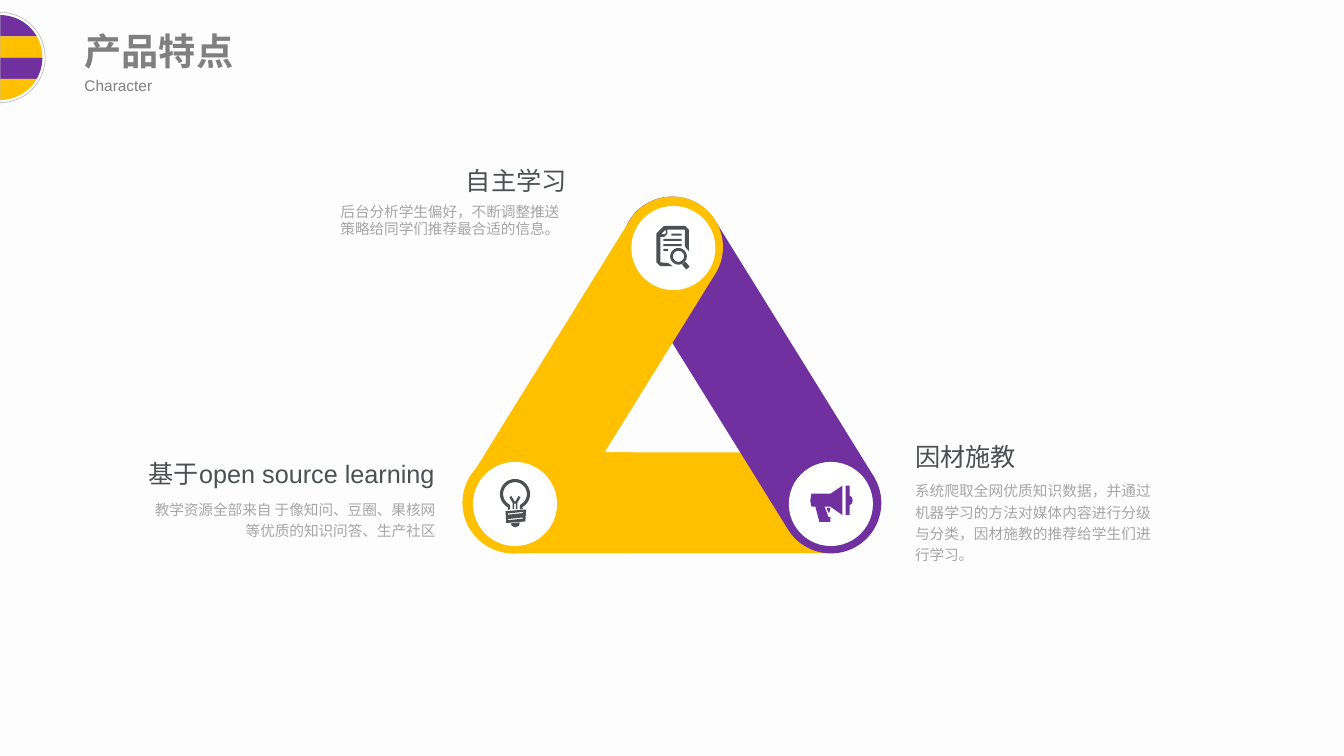
from math import cos, radians, sin

from pptx import Presentation
from pptx.dml.color import RGBColor
from pptx.enum.shapes import MSO_SHAPE
from pptx.enum.text import MSO_ANCHOR, PP_ALIGN
from pptx.util import Cm, Pt

BAR = MSO_SHAPE.ROUNDED_RECTANGLE
DISC = MSO_SHAPE.OVAL
LEFT, RIGHT, JUSTIFY = PP_ALIGN.LEFT, PP_ALIGN.RIGHT, PP_ALIGN.JUSTIFY
TOP, MIDDLE = MSO_ANCHOR.TOP, MSO_ANCHOR.MIDDLE

YELLOW, PURPLE, WHITE = "FFC000", "7030A0", "FFFFFF"
DARK, PALE, GREY, RULE = "4B5050", "A6A6A6", "808080", "BFBFBF"


def rgb(value):
    return RGBColor.from_string(value)


def arc(cx, cy, radius, start, end, steps=24):
    """Points along an arc; angles in degrees, clockwise from the right."""
    angles = [radians(start + (end - start) * i / steps) for i in range(steps + 1)]
    return [(cx + radius * cos(a), cy + radius * sin(a)) for a in angles]


def box(x, y, w, h):
    return [(x, y), (x + w, y), (x + w, y + h), (x, y + h)]


class Deck:
    font = "Arial"

    def __init__(self, width, height, background):
        self.prs = Presentation()
        self.prs.slide_width, self.prs.slide_height = Cm(width), Cm(height)
        self.s = self.prs.slides.add_slide(self.prs.slide_layouts[6])
        fill = self.s.background.fill
        fill.solid()
        fill.fore_color.rgb = rgb(background)

    def paint(self, sp, fill=None, line=None):
        sp.shadow.inherit = False
        if fill:
            sp.fill.solid()
            sp.fill.fore_color.rgb = rgb(fill)
        else:
            sp.fill.background()
        if line:
            sp.line.color.rgb = rgb(line)
            sp.line.width = Pt(0.5)
        else:
            sp.line.fill.background()

    def centred(self, kind, centre, w, h, fill, rotation=0):
        x, y = centre
        sp = self.s.shapes.add_shape(kind, Cm(x - w / 2), Cm(y - h / 2), Cm(w), Cm(h))
        if kind == BAR:
            sp.adjustments[0] = 0.5
        sp.rotation = rotation
        self.paint(sp, fill)

    def outline(self, contours, fill=None, line=None, origin=(0, 0)):
        ox, oy = origin
        fb = None
        for contour in contours:
            points = [(Cm(ox + x), Cm(oy + y)) for x, y in contour]
            if fb is None:
                fb = self.s.shapes.build_freeform(*points[0])
            else:
                fb.move_to(*points[0])
            fb.add_line_segments(points[1:], close=True)
        self.paint(fb.convert_to_shape(), fill, line)

    def text(self, text, x, y, w, h, size=10.5, color=PALE, align=LEFT,
             spacing=None, bold=False, anchor=TOP, inset=True):
        tf = self.s.shapes.add_textbox(Cm(x), Cm(y), Cm(w), Cm(h)).text_frame
        tf.word_wrap = True
        tf.vertical_anchor = anchor
        if not inset:
            tf.margin_left = tf.margin_right = tf.margin_top = tf.margin_bottom = 0
        p = tf.paragraphs[0]
        p.alignment = align
        if spacing:
            p.line_spacing = spacing
        r = p.add_run()
        r.text = text
        r.font.name, r.font.size, r.font.bold = self.font, Pt(size), bold
        r.font.color.rgb = rgb(color)


# Icon contours, in cm from each icon's top left corner
REPORT = [
    [(0.2, 0), (0.72, 0), (0.82, 0.1), (0.82, 0.64), (0.72, 0.52), (0.72, 0.1),
     (0.28, 0.1), (0.28, 0.2), (0.2, 0.28), (0.1, 0.28), (0.1, 0.92), (0.3, 0.94),
     (0.42, 1.02), (0.1, 1.02), (0, 0.92), (0, 0.2)],
    [(0.23, 0.1), (0.13, 0.2), (0.2, 0.22), (0.25, 0.18)],
    box(0.38, 0.2, 0.26, 0.05),
    box(0.18, 0.33, 0.46, 0.05),
    box(0.18, 0.46, 0.46, 0.05),
    box(0.18, 0.58, 0.12, 0.05),
    arc(0.56, 0.77, 0.21, 0, 360),
    arc(0.56, 0.77, 0.14, 0, 360),
    [(0.65, 0.98), (0.74, 0.91), (0.84, 1.03), (0.76, 1.1)],
]
BULB = [
    arc(0.38, 0.38, 0.38, 118, 422) + [(0.58, 0.76), (0.5, 0.76), (0.5, 0.68)]
    + arc(0.38, 0.38, 0.3, 422, 118) + [(0.26, 0.68), (0.26, 0.76), (0.2, 0.78)],
    [(0.24, 0.46), (0.29, 0.43), (0.38, 0.58), (0.47, 0.43), (0.52, 0.46),
     (0.44, 0.6), (0.44, 0.76), (0.32, 0.76), (0.32, 0.6)],
    box(0.36, 0.62, 0.04, 0.14),
    [(0.14, 0.81), (0.66, 0.77), (0.64, 1.07), (0.16, 1.11)],
    [(0.2, 0.87), (0.58, 0.83), (0.58, 0.86), (0.2, 0.9)],
    [(0.2, 1.01), (0.58, 0.97), (0.58, 1.0), (0.2, 1.04)],
    [(0.27, 1.12), (0.5, 1.1), (0.48, 1.18), (0.38, 1.22), (0.3, 1.18)],
]
MEGAPHONE = [
    [(0.03, 0.2), (0.51, 0.2), (0.81, 0), (0.81, 0.74), (0.51, 0.53), (0.36, 0.53),
     (0.46, 0.79), (0.51, 0.79), (0.51, 0.91), (0.23, 0.91), (0.13, 0.53),
     (0.03, 0.53), (0, 0.37)],
    [(0.89, 0), (0.99, 0), (0.99, 0.25), (1.05, 0.29), (1.07, 0.37), (1.05, 0.45),
     (0.99, 0.49), (0.99, 0.74), (0.89, 0.74)],
    [(0.51, 0.56), (0.41, 0.56), (0.46, 0.68), (0.48, 0.68)],
]


def main():
    deck = Deck(33.87, 19.05, "FDFDFD")

    # Triangle of rounded bars; the last bar covers the lower left joint
    thickness = 2.54
    for centre, length, rotation, color in [
        ((16.95, 12.67), 10.49, 0, YELLOW),
        ((18.94, 9.45), 10.13, 58.2, PURPLE),
        ((14.95, 9.45), 10.13, 301.8, YELLOW),
        ((14.36, 12.67), 5.41, 0, YELLOW),
    ]:
        deck.centred(BAR, centre, length, thickness, color, rotation)

    # White discs with icons at the corners
    for centre, contours, origin, color in [
        ((16.97, 6.25), REPORT, (16.54, 5.69), DARK),
        ((12.98, 12.7), BULB, (12.6, 12.07), DARK),
        ((20.94, 12.7), MEGAPHONE, (20.42, 12.24), PURPLE),
    ]:
        deck.centred(DISC, centre, 2.12, 2.12, WHITE)
        deck.outline(contours, color, origin=origin)

    # Headings and descriptions
    heading = dict(size=18, color=DARK, spacing=1.2)
    deck.text("因材施教", 22.81, 10.85, 3.86, 1.09, **heading)
    deck.text("系统爬取全网优质知识数据，并通过机器学习的方法对媒体内容进行分级与分类，"
              "因材施教的推荐给学生们进行学习。",
              22.81, 11.94, 6.45, 2.36, align=JUSTIFY, spacing=1.2)
    deck.text("自主学习", 10.64, 3.89, 3.89, 1.09, align=RIGHT, **heading)
    deck.text("后台分析学生偏好，不断调整推送策略给同学们推荐最合适的信息。",
              8.33, 4.98, 6.22, 1.14)
    deck.text("基于open source learning", 2.13, 11.28, 9.07, 1.09, align=RIGHT, **heading)
    deck.text("教学资源全部来自 于像知问、豆圈、果核网等优质的知识问答、生产社区",
              3.48, 12.4, 7.75, 1.3, align=RIGHT, spacing=1.2)

    # Slide title
    title = dict(color=GREY, anchor=MIDDLE, inset=False)
    deck.text("产品特点", 2.13, 0.71, 6.1, 1.14, size=26.6, bold=True, **title)
    deck.text("Character", 2.13, 1.9, 6.1, 0.48, size=11, **title)

    # Striped half disc at the left edge
    cy, radius = 1.45, 1.07
    angles = [-90, -30, 0, 30, 90]
    for i, (start, end) in enumerate(zip(angles, angles[1:])):
        edge = arc(0, cy, radius, start, end)
        stripe = [(0, edge[0][1])] + edge + [(0, edge[-1][1])]
        deck.outline([stripe], (PURPLE, YELLOW)[i % 2])
    deck.outline([arc(0, cy, 1.14, -90, 90, 48)], line=RULE)

    deck.prs.save("out.pptx")


if __name__ == "__main__":
    main()
